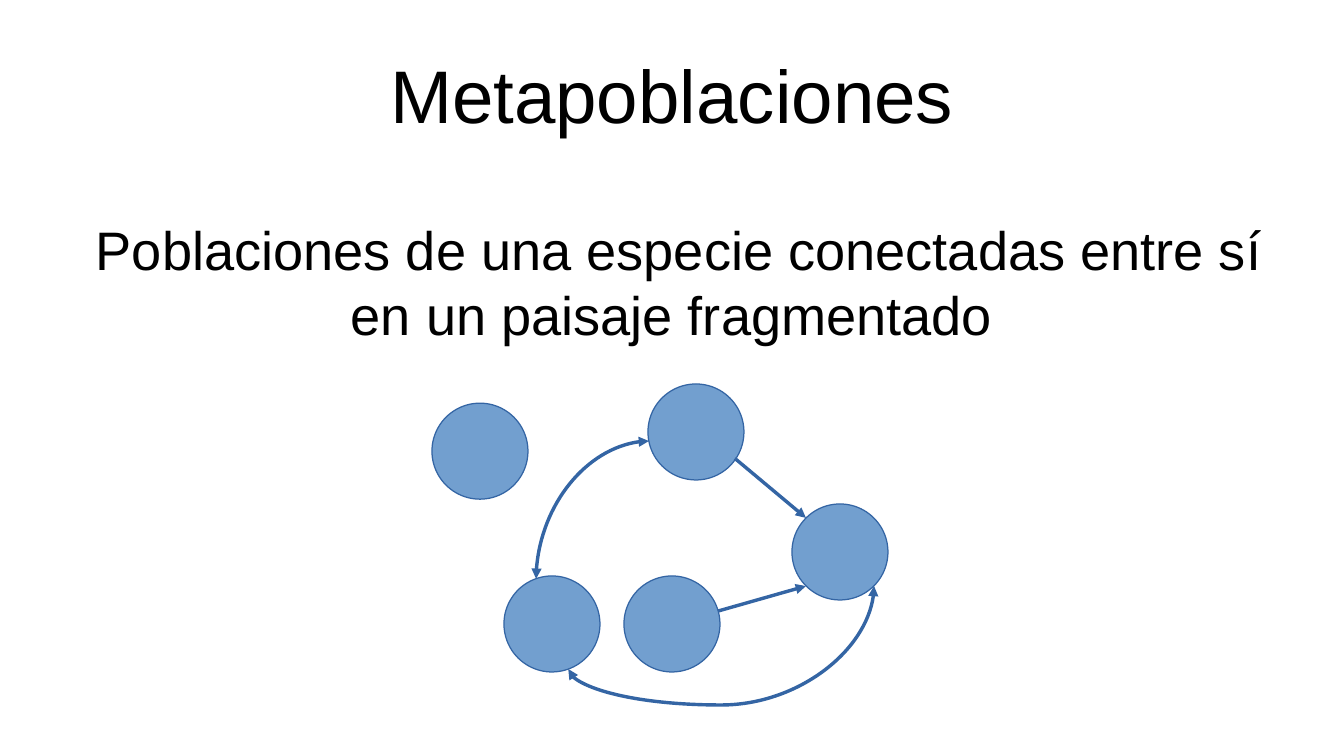
import pptx
import pptx.dml.color
import pptx.enum.shapes
import pptx.enum.text
import pptx.oxml
import pptx.oxml.ns
import pptx.util
from dataclasses import dataclass

Cm = pptx.util.Cm
Pt = pptx.util.Pt
RGB = pptx.dml.color.RGBColor.from_string
qn = pptx.oxml.ns.qn
Connector = pptx.enum.shapes.MSO_CONNECTOR


@dataclass(frozen=True)
class Theme:
    font: str = "Arial"
    text: str = "000000"
    patch: str = "729FCF"
    line: str = "3465A4"
    title_size: int = 44
    body_size: int = 32
    line_width: int = 0


theme = Theme()
deck = pptx.Presentation()
deck.slide_width, deck.slide_height = Cm(28), Cm(15.75)
page = deck.slides.add_slide(deck.slide_layouts[6])


def add_text(text, *, top, height, size):
    box = page.shapes.add_textbox(Cm(1.4), Cm(top), Cm(25.2), Cm(height))
    frame = box.text_frame
    frame.word_wrap = True
    frame.vertical_anchor = pptx.enum.text.MSO_ANCHOR.MIDDLE
    frame.margin_left = frame.margin_right = 0
    frame.margin_top = frame.margin_bottom = 0
    para = frame.paragraphs[0]
    para.alignment = pptx.enum.text.PP_ALIGN.CENTER
    span = para.add_run()
    span.text = text
    span.font.name = theme.font
    span.font.size = Pt(size)
    span.font.color.rgb = RGB(theme.text)


def add_arrow(kind, start, end, arrowheads):
    arrow = page.shapes.add_connector(kind, *(Cm(value) for value in start + end))
    arrow.line.color.rgb = RGB(theme.line)
    arrow.line.width = Pt(theme.line_width)
    line = arrow.line._get_or_add_ln()
    for name in arrowheads:
        line.append(pptx.oxml.parse_xml(
            f'<a:{name} {pptx.oxml.ns.nsdecls("a")} type="triangle"/>'))
    properties = arrow._element.spPr
    properties.append(pptx.oxml.parse_xml(
        f'<a:effectLst {pptx.oxml.ns.nsdecls("a")}/>'))
    return properties


# Title and definition
add_text("Metapoblaciones", top=0.63, height=2.63, size=theme.title_size)
add_text(" Poblaciones de una especie conectadas entre sí en un paisaje fragmentado",
         top=1.3, height=9.14, size=theme.body_size)

# Habitat patches: left, top, rotation
patches = [(10.5, 12, 340.4), (13.5, 8, 349.1), (9, 8.4, 0),
           (16.5, 10.5, 0), (13, 12, 344.6)]
for left, top, rotation in patches:
    patch = page.shapes.add_shape(pptx.enum.shapes.MSO_SHAPE.OVAL,
                                  Cm(left), Cm(top), Cm(2), Cm(2))
    patch.rotation = rotation
    patch.shadow.inherit = False
    patch.fill.solid()
    patch.fill.fore_color.rgb = RGB(theme.patch)
    patch.line.color.rgb = RGB(theme.line)
    patch.line.width = Pt(theme.line_width)

# Two-way migration: curves from lower left to upper right, turned by 90 degrees
curves = [("curvedConnector3", (11.84, 13.94), (18.21, 12.21), -43300),
          ("curvedConnector2", (11.17, 12.06), (13.52, 9.19), None)]
for preset, (x1, y1), (x2, y2), bend in curves:
    middle_x, middle_y = (x1 + x2) / 2, (y1 + y2) / 2
    half_width, half_height = (y1 - y2) / 2, (x2 - x1) / 2
    properties = add_arrow(Connector.CURVE,
                           (middle_x + half_width, middle_y + half_height),
                           (middle_x - half_width, middle_y - half_height),
                           ("headEnd", "tailEnd"))
    properties.find(qn("a:xfrm")).set("rot", str(90 * 60000))
    geometry = properties.find(qn("a:prstGeom"))
    geometry.set("prst", preset)
    if bend is not None:
        geometry.find(qn("a:avLst")).append(pptx.oxml.parse_xml(
            f'<a:gd {pptx.oxml.ns.nsdecls("a")} name="adj1" fmla="val {bend}"/>'))

# One-way migration
for start, end in [((14.96, 12.73), (16.79, 12.21)),
                   ((15.31, 9.55), (16.79, 10.79))]:
    add_arrow(Connector.STRAIGHT, start, end, ("tailEnd",))

deck.save("out.pptx")
